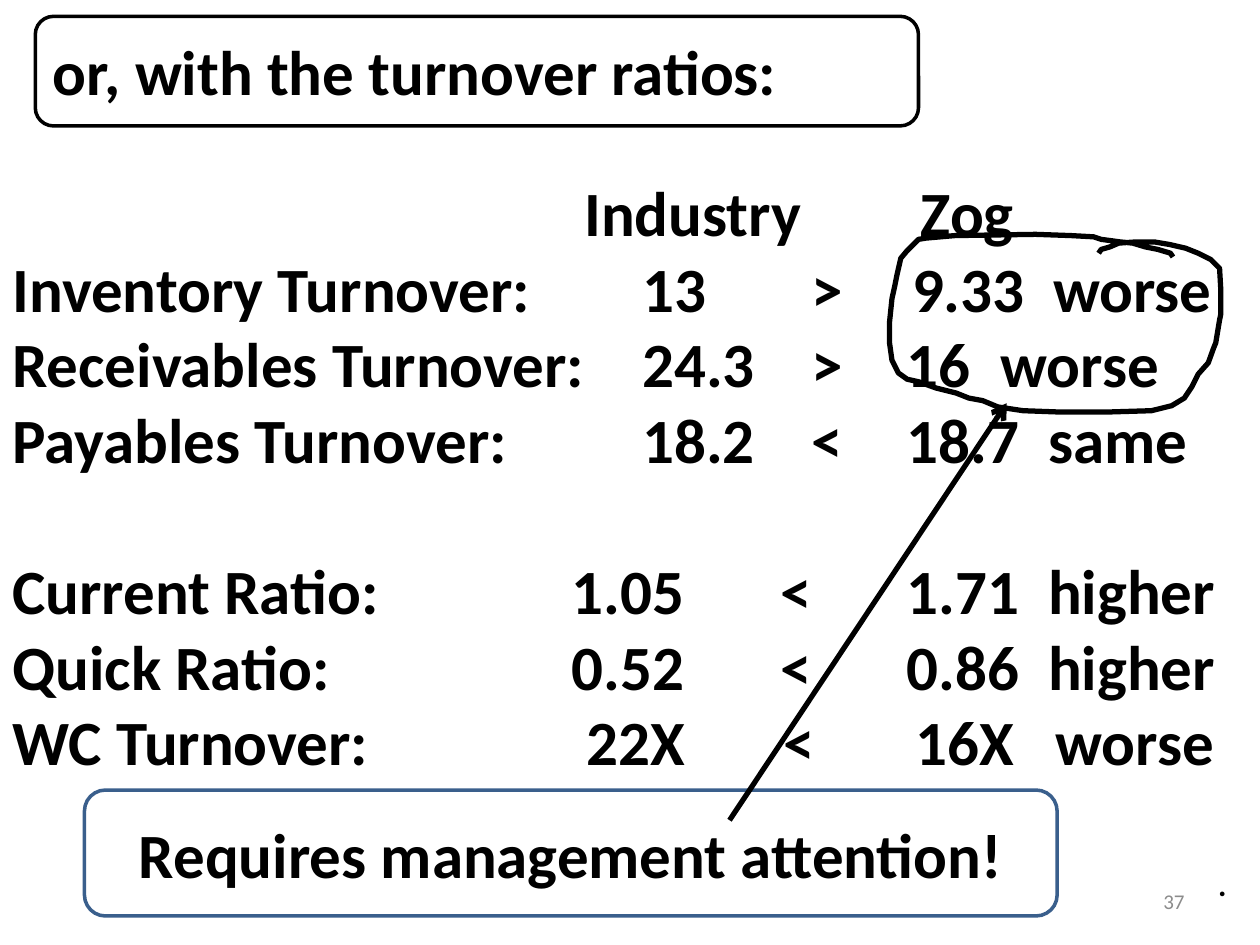
from dataclasses import dataclass

from lxml.etree import SubElement
from pptx import Presentation
from pptx.dml.color import RGBColor
from pptx.enum.shapes import MSO_CONNECTOR, MSO_SHAPE
from pptx.enum.text import MSO_ANCHOR, MSO_AUTO_SIZE, PP_ALIGN
from pptx.oxml.ns import qn
from pptx.util import Inches, Pt

BLACK = RGBColor(0, 0, 0)
GRAY = RGBColor(0x8C, 0x8C, 0x8C)
BLUE = RGBColor(0x3A, 0x5F, 0x8C)
WIDE, HIGH = Inches(10), Inches(7.5)
SIZE, LEAD = 36, 43.2


@dataclass(frozen=True)
class Area:
    left: float
    top: float
    width: float
    height: float

    def place(self) -> tuple[int, int, int, int]:
        return (across(self.left), down(self.top),
                across(self.width), down(self.height))


@dataclass(frozen=True)
class Row:
    cells: tuple[str, ...]
    stops: tuple[float, ...]
    gap: float = 0


FRAME = Area(2.8, 1.73, 70.1, 11.6)
TITLE = Area(3.2, 1.6, 69.3, 11.6)
BODY = Area(0, 17.7, 98, 65.87)
NOTE = Area(6.7, 83.6, 77.2, 13.33)
PAGE = Area(71.7, 92.67, 23.3, 5.33)
DOT = Area(95.7, 90.93, 2.7, 5.33)

ROWS = (
    Row(("", "Industry", "Zog"), (45.4, 72.1)),
    Row(("Inventory Turnover:", "13", ">", "9.33", "worse"), (50, 63.4, 71.4, 82.6)),
    Row(("Receivables Turnover:", "24.3", ">", "16", "worse"), (50, 63.4, 71, 78.4)),
    Row(("Payables Turnover:", "18.2", "<", "18.7", "same"), (50, 63.4, 71, 82.2)),
    Row(("Current Ratio:", "1.05", "<", "1.71", "higher"), (44.4, 61, 71, 82.2), LEAD),
    Row(("Quick Ratio:", "0.52", "<", "0.86", "higher"), (44.4, 61, 71, 82.2)),
    Row(("WC Turnover:", "22X", "<", "16X", "worse"), (45.6, 61.2, 71.7, 82.8)),
)

LOOP = (
    (931, 204), (929, 201), (919, 198), (909, 196), (899, 193), (889, 192),
    (874, 190), (868, 188), (850, 187), (822, 186), (758, 187), (735, 189),
    (729, 190), (720, 199), (715, 205), (712, 218), (710, 228), (708, 237),
    (706, 256), (706, 272), (708, 286), (713, 296), (720, 301), (729, 303),
    (743, 308), (759, 312), (769, 316), (780, 318), (792, 323), (812, 326),
    (840, 327), (880, 327), (914, 326), (930, 322), (940, 316), (946, 307),
    (951, 297), (959, 288), (963, 277), (965, 272), (968, 254), (969, 249),
    (969, 231), (968, 213), (961, 206), (951, 201), (941, 197), (928, 194),
    (916, 192), (902, 192), (888, 193), (881, 196), (874, 198), (872, 201),
)


def across(share: float) -> int:
    return round(WIDE * share / 100)


def down(share: float) -> int:
    return round(HIGH * share / 100)


def write(para, text: str, size: float = SIZE, color: RGBColor = BLACK,
          bold: bool = True, align=PP_ALIGN.LEFT) -> None:
    para.text = text
    para.alignment = align
    font = para.font
    font.name, font.size, font.bold = "Calibri", Pt(size), bold
    font.color.rgb = color


def frame(shape, anchor=MSO_ANCHOR.MIDDLE, wrap: bool = True):
    text = shape.text_frame
    text.auto_size = MSO_AUTO_SIZE.NONE
    text.word_wrap = wrap
    text.vertical_anchor = anchor
    return text


def edge(line, color: RGBColor, width: float) -> None:
    line.color.rgb = color
    line.width = Pt(width)


def label(slide, area: Area, text: str, anchor=MSO_ANCHOR.MIDDLE,
          wrap: bool = True, **style) -> None:
    box = slide.shapes.add_textbox(*area.place())
    write(frame(box, anchor, wrap).paragraphs[0], text, **style)


def panel(slide, area: Area, color: RGBColor):
    box = slide.shapes.add_shape(MSO_SHAPE.ROUNDED_RECTANGLE, *area.place())
    box.shadow.inherit = False
    box.fill.background()
    edge(box.line, color, 2)
    return box


def head(slide) -> None:
    panel(slide, FRAME, BLACK)
    title = slide.shapes.title
    title.left, title.top, title.width, title.height = TITLE.place()
    write(frame(title).paragraphs[0], "or, with the turnover ratios:")


def ratios(slide) -> None:
    body = slide.shapes.add_textbox(*BODY.place())
    text = frame(body, MSO_ANCHOR.TOP)
    text.margin_right = 0
    for i, row in enumerate(ROWS):
        para = text.add_paragraph() if i else text.paragraphs[0]
        tabs = SubElement(para._p.get_or_add_pPr(), qn("a:tabLst"))
        for stop in row.stops:
            SubElement(tabs, qn("a:tab"), pos=str(across(stop)), algn="l")
        para.space_before = Pt(row.gap)
        para.line_spacing = Pt(LEAD)
        write(para, "\t".join(row.cells))


def circle(slide) -> None:
    pen = slide.shapes.build_freeform(*LOOP[0], scale=WIDE / 1000)
    pen.add_line_segments(LOOP[1:], close=False)
    loop = pen.convert_to_shape()
    loop.shadow.inherit = False
    loop.fill.background()
    edge(loop.line, BLACK, 3)


def note(slide) -> None:
    box = panel(slide, NOTE, BLUE)
    write(frame(box).paragraphs[0], "Requires management attention!",
          align=PP_ALIGN.CENTER)


def arrow(slide) -> None:
    link = slide.shapes.add_connector(
        MSO_CONNECTOR.STRAIGHT, across(57.9), down(86.8), across(79.9), down(42.67))
    edge(link.line, BLACK, 3)
    SubElement(link.line._get_or_add_ln(), qn("a:tailEnd"), type="arrow")
    SubElement(link._element.spPr, qn("a:effectLst"))


def main() -> None:
    deck = Presentation()
    deck.slide_width, deck.slide_height = WIDE, HIGH
    slide = deck.slides.add_slide(deck.slide_layouts[5])
    label(slide, PAGE, "37", size=12, color=GRAY, bold=False, align=PP_ALIGN.RIGHT)
    head(slide)
    ratios(slide)
    circle(slide)
    note(slide)
    arrow(slide)
    label(slide, DOT, ".", anchor=MSO_ANCHOR.TOP, wrap=False, size=18)
    deck.save("out.pptx")


if __name__ == "__main__":
    main()
